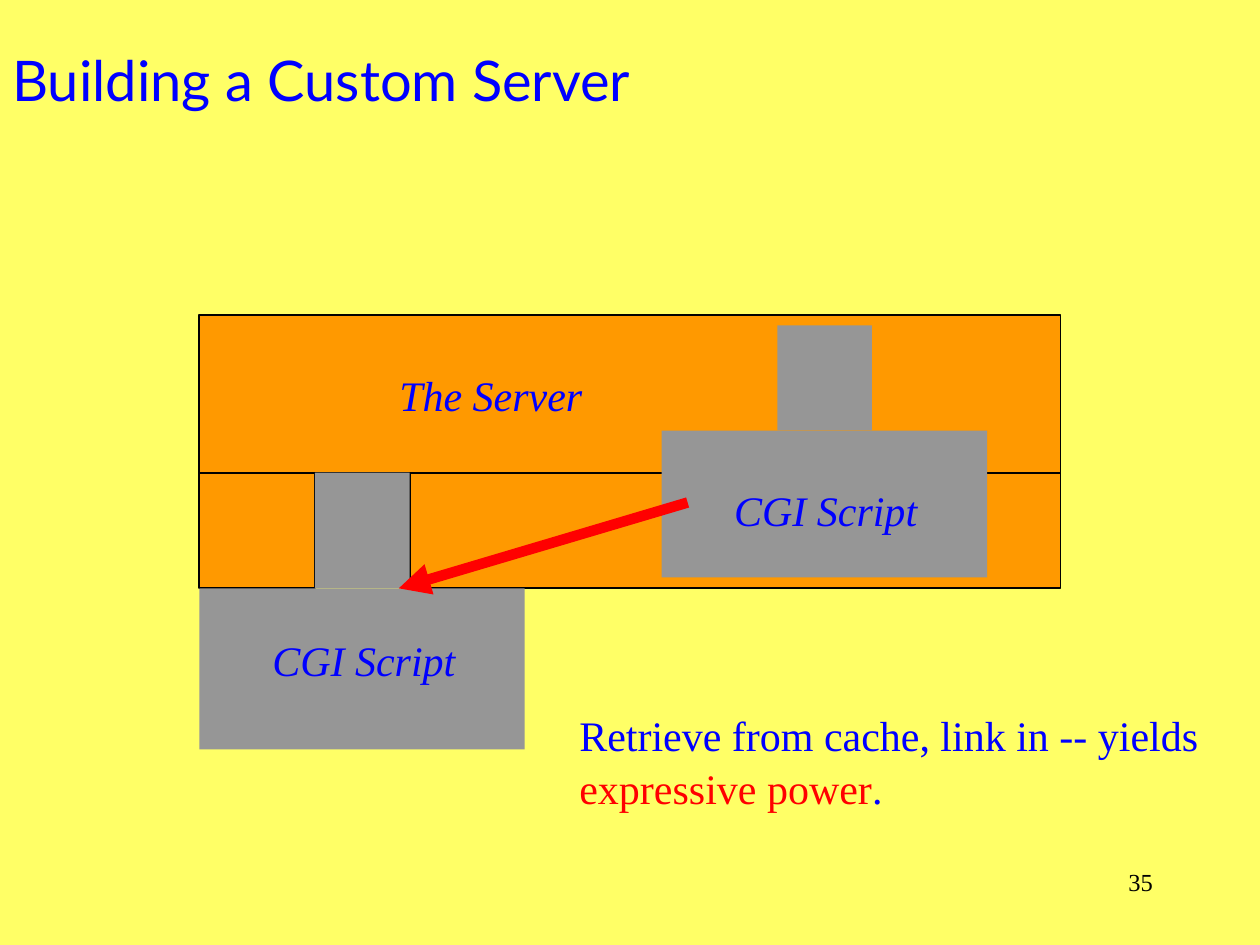
from dataclasses import dataclass

import pptx
import pptx.dml.color
import pptx.enum.shapes
import pptx.enum.text
import pptx.oxml
import pptx.oxml.ns
import pptx.util
from pptx.util import Cm

COLORS = {
    "background": "FFFF66",
    "server": "FF9900",
    "script": "969696",
    "text": "0000FF",
    "accent": "FF0000",
    "black": "000000",
}
SERIF = "Times New Roman"


@dataclass
class Box:
    left: float
    top: float
    width: float
    height: float
    fill: str
    outlined: bool = False


@dataclass
class Run:
    text: str
    color: str = "text"
    size: int = 24
    font: str = SERIF
    italic: bool = False


@dataclass
class Label:
    left: float
    top: float
    width: float
    height: float
    runs: list[Run]
    wrap: bool = False
    align: str = "LEFT"
    anchor: str = "TOP"


@dataclass
class Script:
    stem: Box
    body: Box
    label: Label


def rgb(name: str) -> pptx.dml.color.RGBColor:
    return pptx.dml.color.RGBColor.from_string(COLORS[name])


def draw_box(s, box: Box) -> None:
    sp = s.shapes.add_shape(
        pptx.enum.shapes.MSO_SHAPE.RECTANGLE,
        Cm(box.left), Cm(box.top), Cm(box.width), Cm(box.height),
    )
    sp.shadow.inherit = False
    sp.fill.solid()
    sp.fill.fore_color.rgb = rgb(box.fill)
    if box.outlined:
        sp.line.color.rgb = rgb("black")
        sp.line.width = pptx.util.Pt(1)
    else:
        sp.line.fill.background()


def draw_label(s, label: Label) -> None:
    sp = s.shapes.add_textbox(
        Cm(label.left), Cm(label.top), Cm(label.width), Cm(label.height)
    )
    tf = sp.text_frame
    tf.word_wrap = label.wrap
    if not label.wrap:
        tf.auto_size = pptx.enum.text.MSO_AUTO_SIZE.SHAPE_TO_FIT_TEXT
    tf.vertical_anchor = pptx.enum.text.MSO_ANCHOR[label.anchor]
    p = tf.paragraphs[0]
    p.alignment = pptx.enum.text.PP_ALIGN[label.align]
    for run in label.runs:
        r = p.add_run()
        r.text = run.text
        r.font.name = run.font
        r.font.size = pptx.util.Pt(run.size)
        r.font.italic = run.italic
        r.font.color.rgb = rgb(run.color)


def draw_script(s, script: Script) -> None:
    draw_box(s, script.stem)
    draw_box(s, script.body)
    draw_label(s, script.label)


def draw_arrow(s, x1: float, y1: float, x2: float, y2: float) -> None:
    line = s.shapes.add_connector(
        pptx.enum.shapes.MSO_CONNECTOR.STRAIGHT, Cm(x1), Cm(y1), Cm(x2), Cm(y2)
    )
    line.line.color.rgb = rgb("accent")
    line.line.width = pptx.util.Pt(6)
    qn = pptx.oxml.ns.qn
    ln = line.line._get_or_add_ln()
    ln.set("cap", "sq")
    ln.append(ln.makeelement(qn("a:tailEnd"), {"type": "triangle"}))
    sp_pr = line._element.spPr
    sp_pr.append(sp_pr.makeelement(qn("a:effectLst"), {}))


SERVER = [
    Box(4.02, 6.35, 17.36, 3.18, "server", True),
    Box(8.26, 9.53, 13.12, 2.33, "server", True),
    Box(4.02, 9.53, 2.33, 2.33, "server", True),
]
SCRIPTS = [
    Script(
        Box(6.35, 9.53, 1.91, 2.33, "script"),
        Box(4.02, 11.86, 6.56, 3.25, "script"),
        Label(5.24, 12.67, 4.24, 1.27, [Run("CGI Script", italic=True)]),
    ),
    Script(
        Box(15.67, 6.56, 1.91, 2.12, "script"),
        Box(13.34, 8.68, 6.56, 2.96, "script"),
        Label(14.55, 9.65, 4.24, 1.27, [Run("CGI Script", italic=True)]),
    ),
]
LABELS = [
    Label(0, 0, 21.59, 3.18,
          [Run("Building a Custom Server", size=32, font="Lato")],
          wrap=True, anchor="MIDDLE"),
    Label(7.8, 7.32, 4.39, 1.27, [Run("The Server", italic=True)]),
    Label(11.43, 14.18, 13.05, 1.27,
          [Run("Retrieve from cache, link in -- yields")]),
    Label(11.43, 15.24, 6.83, 1.27,
          [Run("expressive power", "accent"), Run(".")]),
    Label(18.2, 17.36, 5.29, 1.27, [Run("35", "black", 14)],
          wrap=True, align="RIGHT"),
]


def main() -> None:
    prs = pptx.Presentation()
    prs.slide_width, prs.slide_height = Cm(25.4), Cm(19.05)
    s = prs.slides.add_slide(prs.slide_layouts[6])
    s.background.fill.solid()
    s.background.fill.fore_color.rgb = rgb("background")
    for box in SERVER:
        draw_box(s, box)
    for script in SCRIPTS:
        draw_script(s, script)
    for label in LABELS:
        draw_label(s, label)
    draw_arrow(s, 13.76, 10.16, 8.04, 11.86)
    prs.save("out.pptx")


if __name__ == "__main__":
    main()
